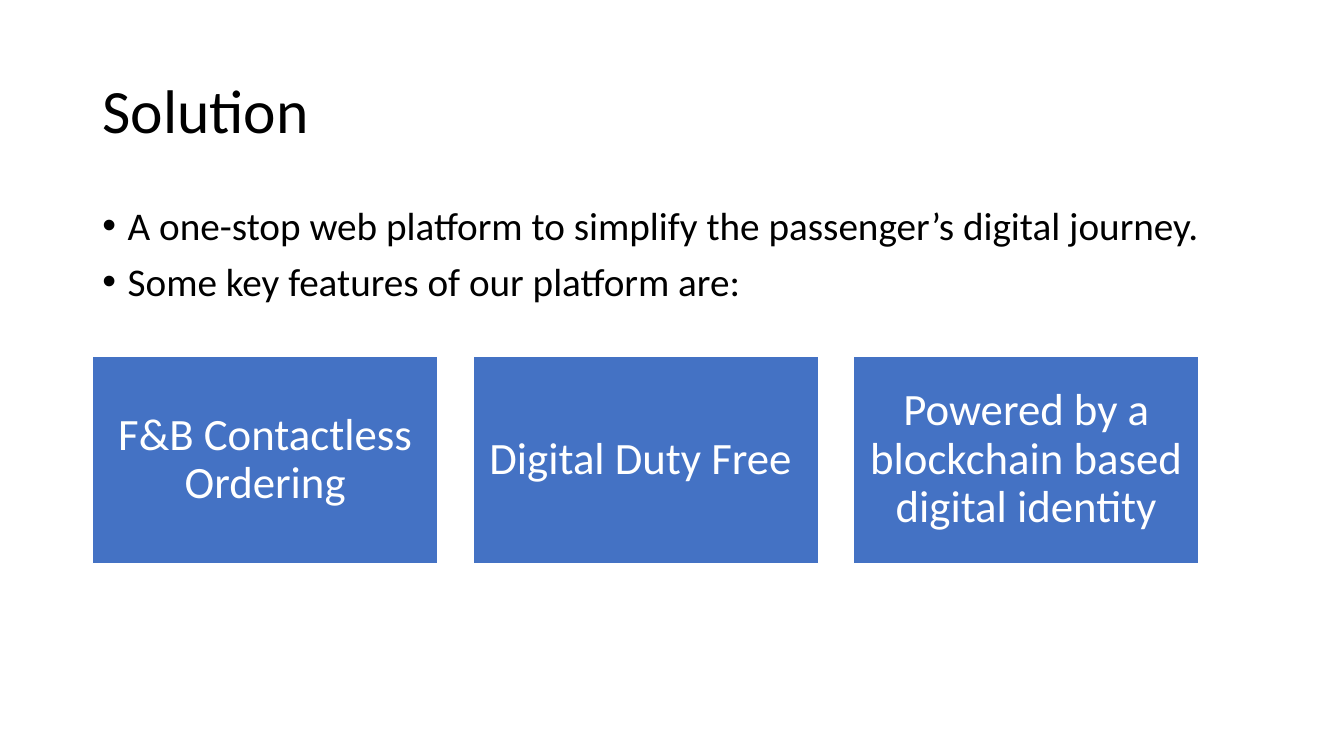
from dataclasses import dataclass

import pptx
import pptx.dml.color
import pptx.enum.shapes
import pptx.enum.text
import pptx.oxml
import pptx.oxml.ns
import pptx.util
from pptx.util import Cm


@dataclass(frozen=True)
class Theme:
    font: str = "Calibri"
    text: str = "000000"
    card_text: str = "FFFFFF"
    card_fill: str = "4472C4"
    card_line: str = "FFFFFF"
    title_size: int = 44
    body_size: int = 28
    card_size: int = 32


THEME = Theme()
LEFT = 2.33
CONTENT_WIDTH = 29.21
CARD_TOP, CARD_WIDTH, CARD_HEIGHT, CARD_PITCH = 8.97, 8.71, 5.23, 9.59
CARD_INSET = 0.34

STATEMENTS = [
    "A one-stop web platform to simplify the passenger’s digital journey.",
    "Some key features of our platform are:",
]
FEATURES = [
    "F&B Contactless Ordering",
    "Digital Duty Free ",
    "Powered by a blockchain based digital identity",
]


def rgb(value):
    return pptx.dml.color.RGBColor.from_string(value)


def write_text(shape, lines, size, color):
    """Fill a shape with one paragraph per line in the theme font."""
    frame = shape.text_frame
    frame.word_wrap = True
    frame.text = "\n".join(lines)
    for paragraph in frame.paragraphs:
        paragraph.line_spacing = 0.9
        for run in paragraph.runs:
            run.font.name = THEME.font
            run.font.size = pptx.util.Pt(size)
            run.font.color.rgb = rgb(color)
    return frame


def add_bullet(paragraph):
    properties = paragraph._p.get_or_add_pPr()
    properties.set("marL", str(Cm(0.64)))
    properties.set("indent", str(-Cm(0.64)))
    namespace = pptx.oxml.ns.nsdecls("a")
    for xml in (
        f'<a:buFont {namespace} typeface="Arial"/>',
        f'<a:buChar {namespace} char="•"/>',
    ):
        properties.append(pptx.oxml.parse_xml(xml))


def add_title(slide, text):
    box = slide.shapes.add_textbox(Cm(LEFT), Cm(1.01), Cm(CONTENT_WIDTH), Cm(3.68))
    frame = write_text(box, [text], THEME.title_size, THEME.text)
    frame.vertical_anchor = pptx.enum.text.MSO_ANCHOR.MIDDLE


def add_bullet_list(slide, lines):
    box = slide.shapes.add_textbox(Cm(LEFT), Cm(5.07), Cm(CONTENT_WIDTH), Cm(12.09))
    frame = write_text(box, lines, THEME.body_size, THEME.text)
    for paragraph in frame.paragraphs:
        paragraph.space_before = pptx.util.Pt(10)
        add_bullet(paragraph)


def add_feature_card(slide, left, text):
    card = slide.shapes.add_shape(
        pptx.enum.shapes.MSO_SHAPE.RECTANGLE,
        Cm(left), Cm(CARD_TOP), Cm(CARD_WIDTH), Cm(CARD_HEIGHT),
    )
    card.shadow.inherit = False
    card.fill.solid()
    card.fill.fore_color.rgb = rgb(THEME.card_fill)
    card.line.color.rgb = rgb(THEME.card_line)
    card.line.width = pptx.util.Pt(1)
    frame = write_text(card, [text], THEME.card_size, THEME.card_text)
    frame.vertical_anchor = pptx.enum.text.MSO_ANCHOR.MIDDLE
    frame.margin_left = frame.margin_right = Cm(CARD_INSET)
    frame.margin_top = frame.margin_bottom = Cm(CARD_INSET)
    frame.paragraphs[0].alignment = pptx.enum.text.PP_ALIGN.CENTER


def main():
    presentation = pptx.Presentation()
    presentation.slide_width = Cm(33.87)
    presentation.slide_height = Cm(19.05)
    slide = presentation.slides.add_slide(presentation.slide_layouts[6])
    add_title(slide, "Solution")
    add_bullet_list(slide, STATEMENTS)
    for index, feature in enumerate(FEATURES):
        add_feature_card(slide, LEFT + index * CARD_PITCH, feature)
    presentation.save("out.pptx")


if __name__ == "__main__":
    main()
